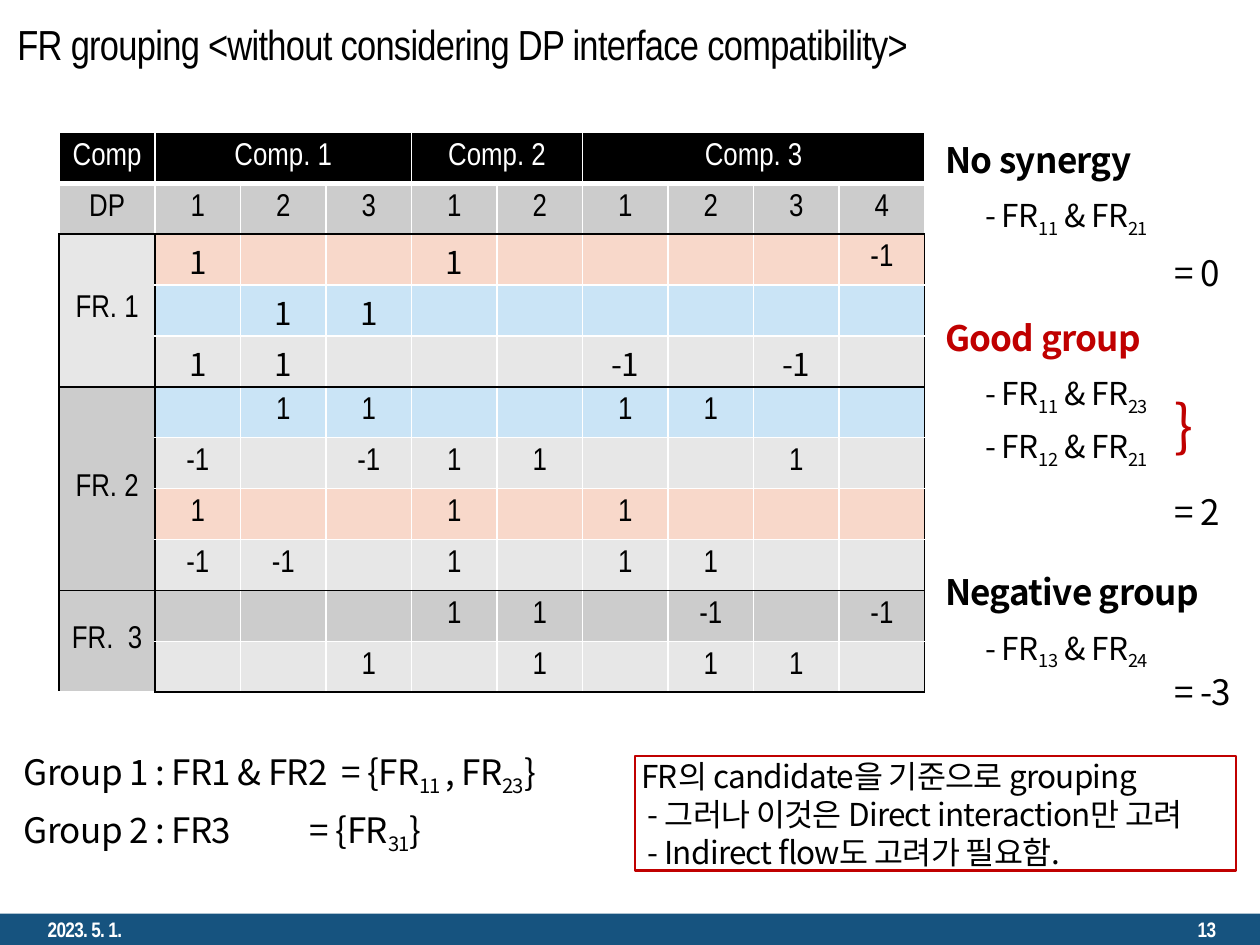
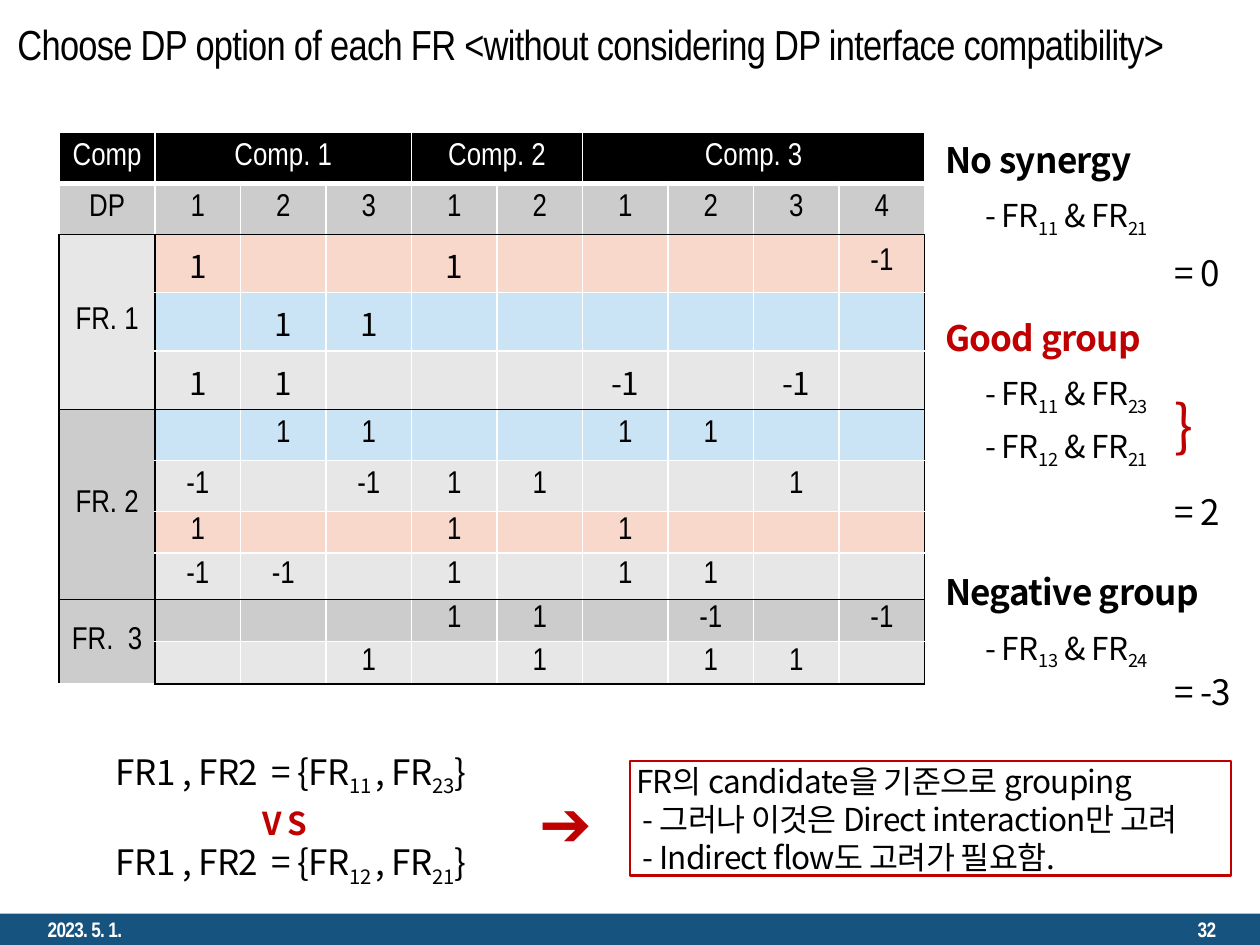
from dataclasses import dataclass

from lxml import etree
from pptx import Presentation, util as u
from pptx.dml.color import RGBColor
from pptx.enum import shapes, text
from pptx.oxml.ns import qn


@dataclass(frozen=True)
class Theme:
    latin: str = "Arial Narrow"
    noto: str = "Noto Sans CJK KR"
    black: str = "000000"
    white: str = "FFFFFF"
    red: str = "C00000"
    navy: str = "16537F"
    dark: str = "CCCCCC"
    light: str = "E7E7E7"
    pink: str = "F8D8CA"
    sky: str = "CAE4F6"
    foot: int = 12
    body: int = 18
    head: int = 20
    title: int = 24
    brace: int = 32
    arrow: int = 36


T = Theme()
COLS, ROWS = 100, 75
UNIT = u.Inches(0.1)
LEFT, MID, RIGHT = text.PP_ALIGN.LEFT, text.PP_ALIGN.CENTER, text.PP_ALIGN.RIGHT

HEADS = [(0, 1, "Comp"), (1, 3, "Comp. 1"), (4, 2, "Comp. 2"), (6, 4, "Comp. 3")]
GROUPS = [(2, 3, "FR. 1", T.light), (5, 4, "FR. 2", T.dark), (9, 2, "FR.  3", T.dark)]
EDGES = {2, 5, 9, 11}
BODY = [
    (T.dark, "1 2 3 1 2 1 2 3 4"),
    (T.pink, "1 . . 1 . . . . -1"),
    (T.sky, ". 1 1 . . . . . ."),
    (T.light, "1 1 . . . -1 . -1 ."),
    (T.sky, ". 1 1 . . 1 1 . ."),
    (T.light, "-1 . -1 1 1 . . 1 ."),
    (T.pink, "1 . . 1 . 1 . . ."),
    (T.light, "-1 -1 . 1 . 1 1 . ."),
    (T.dark, ". . . 1 1 . -1 . -1"),
    (T.light, ". . 1 . 1 . 1 1 ."),
]
EVEN = [4.04] * 11
MIXED = [4.05] * 2 + [4.63] * 3 + [4.05] * 2 + [3.33, 3.67, 3.33, 3.4]

SCORES = [
    (10.8, "No synergy", T.black, [(15.8, "11", "21")], 19.8, "= 0"),
    (24.9, "Good group", T.red, [(29.9, "11", "23"), (34.1, "12", "21")], 38.7, "= 2"),
    (45.1, "Negative group", T.black, [(50.1, "13", "24")], 53, "= -3"),
]
NOTES = [
    (0.5, "FR의 candidate을 기준으로 grouping"),
    (1, "- 그러나 이것은 Direct interaction만 고려"),
    (1, "- Indirect flow도 고려가 필요함."),
]


def grid(*vals):
    return [round(v * UNIT) for v in vals]


def rgb(hue):
    return RGBColor.from_string(hue)


def write(par, words, size, face, hue=T.black, bold=False, align=LEFT, tight=True):
    for i, part in enumerate(words.split("_")):
        if part:
            run = par.add_run()
            run.text = part
            if i % 2:
                run._r.get_or_add_rPr().set("baseline", "-25000")
    par.alignment = align
    font = par.font
    font.size, font.bold, font.name = u.Pt(size), bold, face
    font.color.rgb = rgb(hue)
    props = par._p.get_or_add_pPr().get_or_add_defRPr()
    etree.SubElement(props, qn("a:ea")).set("typeface", face)
    if tight:
        props.set("spc", "-40")


def pad(box, left=0, top=0, right=0, bottom=0):
    box.margin_left, box.margin_top, box.margin_right, box.margin_bottom = grid(left, top, right, bottom)


def tab(par, stop):
    props = par._p.get_or_add_pPr()
    stops = etree.Element(qn("a:tabLst"))
    etree.SubElement(stops, qn("a:tab"), pos=str(grid(stop)[0]), algn="l")
    props.find(qn("a:defRPr")).addprevious(stops)


def label(page, left, top, wide, words, size=T.head, hue=T.black, bold=False, stop=None):
    box = page.shapes.add_textbox(*grid(left, top, wide, size * 0.17)).text_frame
    box.word_wrap = False
    box.auto_size = text.MSO_AUTO_SIZE.SHAPE_TO_FIT_TEXT
    pad(box, top=0.2)
    par = box.paragraphs[0]
    par.line_spacing = u.Pt(size * 1.2)
    write(par, words, size, T.noto, hue, bold)
    if stop:
        tab(par, stop)


def line(page, area, words, size, hue=T.black, bold=False, align=LEFT):
    box = page.shapes.add_textbox(*grid(*area)).text_frame
    box.word_wrap = True
    box.vertical_anchor = text.MSO_ANCHOR.MIDDLE
    write(box.paragraphs[0], words, size, T.latin, hue, bold, align)


def rect(page, area):
    shape = page.shapes.add_shape(shapes.MSO_SHAPE.RECTANGLE, *grid(*area))
    shape.shadow.inherit = False
    return shape


def frame(page, title, num):
    band = rect(page, (0, 72.5, COLS, 2.5))
    band.fill.solid()
    band.fill.fore_color.rgb = rgb(T.navy)
    band.line.fill.background()
    line(page, (2.8, 72.5, 22.5, 2.5), "2023. 5. 1.", T.foot, T.white, True)
    line(page, (75, 72.5, 22.5, 2.5), num, T.foot, T.white, True, RIGHT)
    line(page, (0.4, 0.3, 102.4, 6.4), title, T.title)


def edge(cell, row, col):
    body = row > 1
    dark = {
        "L": body and col < 2,
        "R": body and col in (0, 9),
        "T": row in EDGES,
        "B": row + 1 in EDGES,
    }
    props = cell._tc.get_or_add_tcPr()
    for i, (side, on) in enumerate(dark.items()):
        wide = 3 if row == 0 and side == "B" else 1
        rule = etree.Element(qn("a:ln" + side), w=str(u.Pt(wide)))
        fill = etree.SubElement(rule, qn("a:solidFill"))
        etree.SubElement(fill, qn("a:srgbClr")).set("val", T.black if on else T.white)
        props.insert(i, rule)


def fill(cell, words, back, hue=T.black, noto=False):
    cell.fill.solid()
    cell.fill.fore_color.rgb = rgb(back)
    cell.vertical_anchor = text.MSO_ANCHOR.MIDDLE
    pad(cell, 0.4, 0.2 if noto else 0.1, 0.4, 0 if noto else 0.2)
    face = T.noto if noto else T.latin
    write(cell.text_frame.paragraphs[0], words, T.body, face, hue, align=MID, tight=noto)


def matrix(page, highs, turn):
    table = page.shapes.add_table(11, 10, *grid(4.7, 10.5, 68.7, sum(highs))).table
    table.first_row = table.horz_banding = False
    for i, col in enumerate(table.columns):
        col.width = grid(6.79 if i else 7.6)[0]
    for row, high in zip(table.rows, highs):
        row.height = grid(high)[0]

    for col, span, words in HEADS:
        for c in range(col, col + span):
            fill(table.cell(0, c), words if c == col else "", T.black, T.white)
        if span > 1:
            table.cell(0, col).merge(table.cell(0, col + span - 1))
    fill(table.cell(1, 0), "DP", T.dark)
    for r, (back, vals) in enumerate(BODY, 1):
        for c, val in enumerate(vals.split(), 1):
            noto = 2 <= r <= 4 and val != "." and c < 9
            fill(table.cell(r, c), val.strip("."), back, noto=noto)
    for top, span, words, back in GROUPS:
        for r in range(top, top + span):
            fill(table.cell(r, 0), words if r == top else "", back)
        cell = table.cell(top, 0)
        cell.merge(table.cell(top + span - 1, 0))
        if turn:
            pad(cell, 1, 1, 1, 1)
            cell._tc.get_or_add_tcPr().set("vert", "eaVert")
    for r in range(11):
        for c in range(10):
            edge(table.cell(r, c), r, c)


def scores(page):
    for top, head, hue, pairs, low, total in SCORES:
        label(page, 75, top, 20.2, head, T.head, hue, True)
        for y, one, two in pairs:
            label(page, 78.2, y, 14.5, f"- FR_{one}_ & FR_{two}_", T.body)
        label(page, 93.2, low, 5.4, total)
    label(page, 93.2, 30.8, 1.3, "}", T.brace, T.red)


def notes(page, left, top):
    shape = rect(page, (left, top, 47.7, 9.1))
    shape.fill.background()
    shape.line.color.rgb = rgb(T.red)
    shape.line.width = u.Pt(1.5)
    box = shape.text_frame
    box.word_wrap = True
    box.vertical_anchor = text.MSO_ANCHOR.TOP
    pad(box, top=0.1)
    for i, (dent, words) in enumerate(NOTES):
        par = box.add_paragraph() if i else box.paragraphs[0]
        par.line_spacing = u.Pt(T.body * 1.2)
        write(par, words, T.body, T.noto)
        par._p.get_or_add_pPr().set("marL", str(grid(dent)[0]))


def start(deck, title, num, highs, turn=False):
    page = deck.slides.add_slide(deck.slide_layouts[6])
    frame(page, title, num)
    matrix(page, highs, turn)
    scores(page)
    return page


def main():
    deck = Presentation()
    deck.slide_width, deck.slide_height = grid(COLS, ROWS)
    tail = "<without considering DP interface compatibility>"

    page = start(deck, f"FR grouping {tail}", "13", EVEN)
    label(page, 1.9, 59.8, 43.9, "Group 1 : FR1 & FR2  = {FR_11 _, FR_23_}")
    label(page, 1.9, 64.4, 37.5, "Group 2 : FR3\t= {FR_31_}", stop=22.7)
    notes(page, 50.4, 60)

    page = start(deck, f"Choose DP option of each FR {tail}", "32", MIXED, True)
    for top, one, two in [(59.8, "11", "23"), (67, "12", "21")]:
        label(page, 9.2, top, 29.8, f"FR1 , FR2  = {{FR_{one} _, FR_{two}_}}")
    label(page, 20.8, 63.6, 3.8, "V S", T.body, T.red, True)
    label(page, 42.8, 62, 5.3, "➔", T.arrow, T.red)
    notes(page, 50, 60.4)
    deck.save("out.pptx")


if __name__ == "__main__":
    main()
